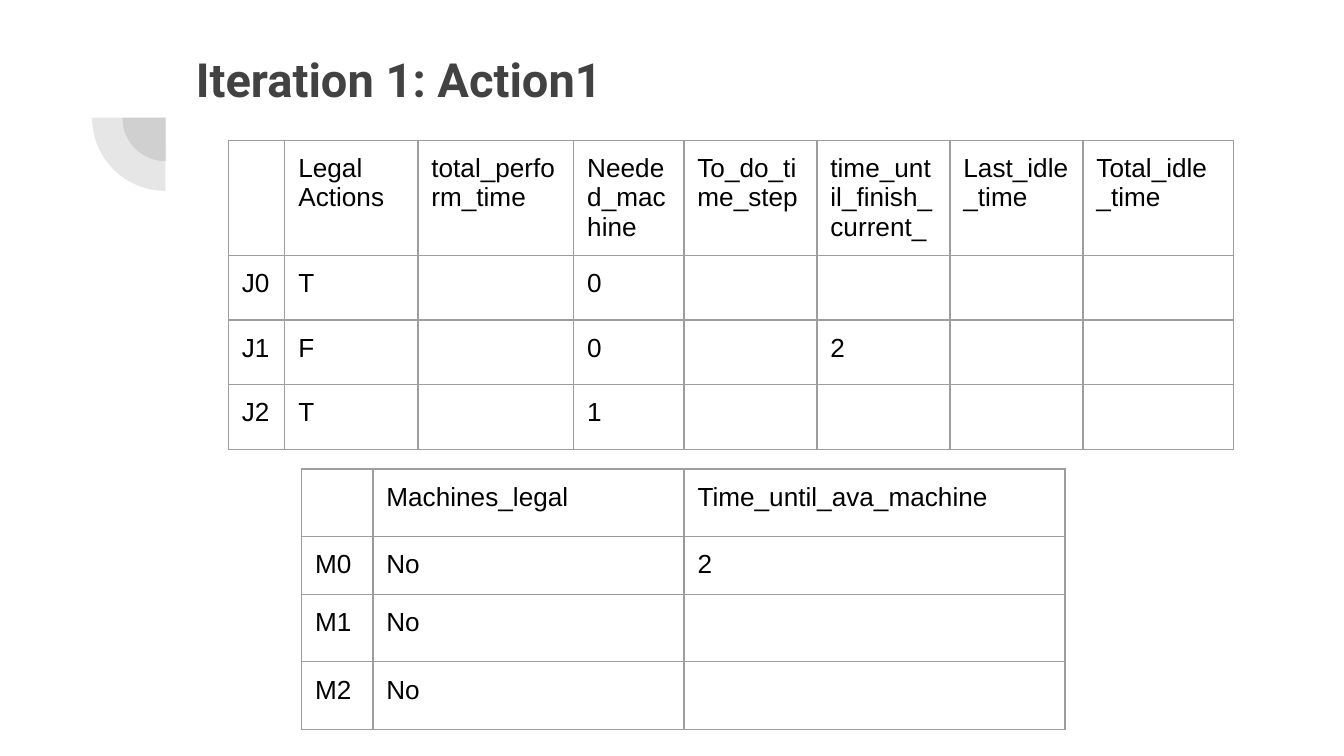
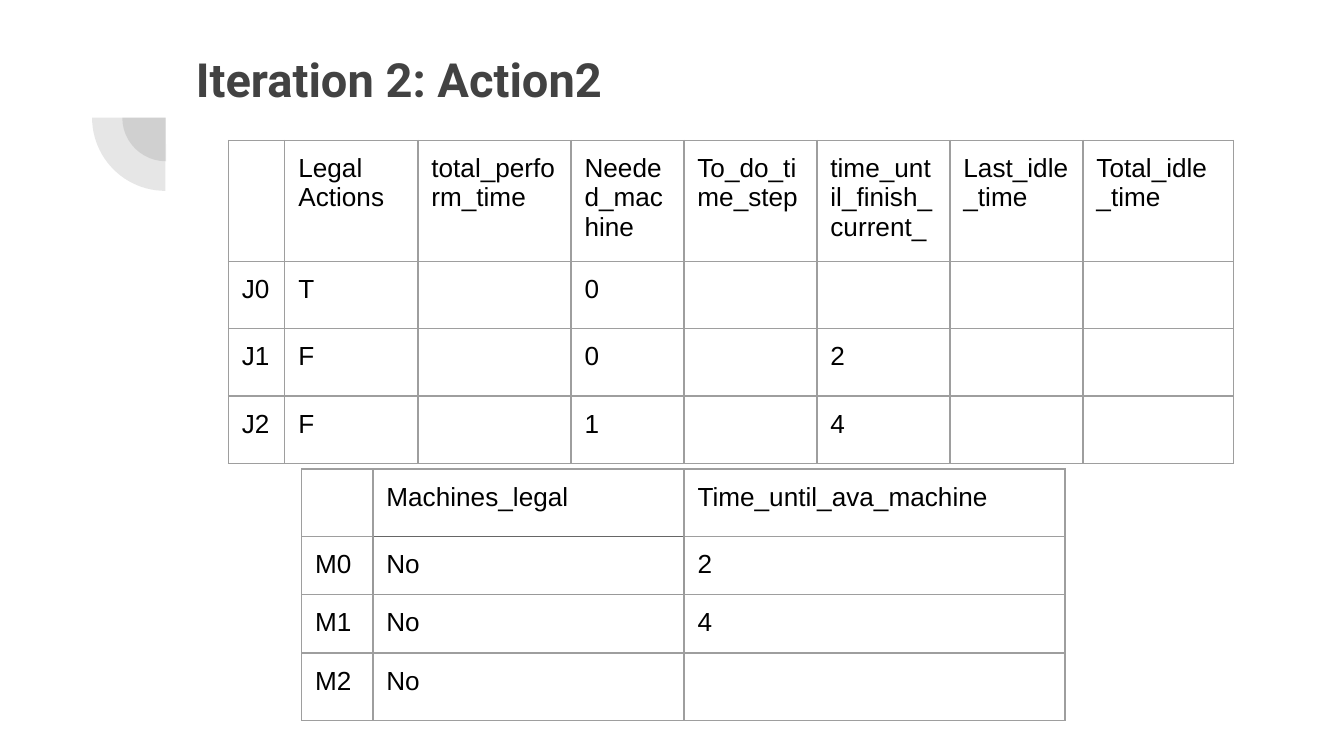
from lxml.etree import SubElement as Sub
from pptx import Presentation
from pptx.dml.color import RGBColor as Rgb
from pptx.enum.shapes import MSO_SHAPE as Kind
from pptx.enum.text import MSO_ANCHOR as Anchor
from pptx.oxml.ns import qn
from pptx.util import Emu, Pt

SCALE = 4572
PAD = 20
INK = {"title": "424242", "text": "000000", "grid": "9E9E9E",
       "ring": "999999", "dark": "666666"}
HEADS = ["", "Legal Actions", "total_perform_time", "Needed_machine",
         "To_do_time_step", "time_until_finish_current_",
         "Last_idle_time", "Total_idle_time"]
SIDES = {"L": (0, -1, "R"), "R": (0, 1, "L"), "T": (-1, 0, "B"), "B": (1, 0, "T")}

SLIDES = [
    {"title": "Iteration 1: Action1",
     "widths": [84, 198, 232, 164, 198, 198, 198, 224],
     "jobs": [("T", "0", ""), ("F", "0", "2"), ("T", "1", "")],
     "waits": ["2", "", ""], "top": "ring"},
    {"title": "Iteration 2: Action2",
     "widths": [84, 198, 228, 168, 198, 198, 198, 224],
     "jobs": [("T", "0", ""), ("F", "0", "2"), ("F", "1", "4")],
     "waits": ["2", "4", ""], "top": "dark"},
]


def px(n):
    return Emu(n * SCALE)


def write(frame, text, size=14, font="Arial", color="text", bold=False):
    run = frame.paragraphs[0].add_run()
    run.text = text
    run.font.size = Pt(size)
    run.font.name = font
    run.font.bold = bold
    run.font.color.rgb = Rgb.from_string(INK[color])


def blank(frame):
    mark = Sub(frame.paragraphs[0]._p, qn("a:endParaRPr"), sz="1800")
    Sub(mark, qn("a:latin"), typeface="Arial")


def pad(box):
    box.margin_left = box.margin_right = px(PAD)
    box.margin_top = box.margin_bottom = px(PAD)


def pie(slide, x, y, size):
    shape = slide.shapes.add_shape(Kind.PIE, px(x), px(y), px(size), px(size))
    shape.rotation = 270
    shape.adjustments[0] = 107.93
    shape.adjustments[1] = 162
    shape.shadow.inherit = False
    shape.line.fill.background()
    shape.fill.solid()
    shape.fill.fore_color.rgb = Rgb.from_string(INK["title"])
    tone = shape.fill._xPr.find(".//" + qn("a:srgbClr"))
    Sub(tone, qn("a:alpha"), val="13000")


def title(slide, text):
    box = slide.shapes.add_textbox(px(272), px(55), px(1538), px(116))
    frame = box.text_frame
    frame.word_wrap = True
    frame.vertical_anchor = Anchor.TOP
    pad(frame)
    write(frame, text, size=25.2, font="Roboto", color="title", bold=True)


def edge(cell, side, color):
    props = cell._tc.get_or_add_tcPr()
    line = props.find(qn("a:ln" + side))
    if line is None:
        line = Sub(props, qn("a:ln" + side), w=str(Pt(0.75)))
        Sub(Sub(line, qn("a:solidFill")), qn("a:srgbClr"))
    line.find(".//" + qn("a:srgbClr")).set("val", INK[color])


def ring(table, row, col, colors):
    for side, color in colors.items():
        down, right, back = SIDES[side]
        edge(table.cell(row, col), side, color)
        edge(table.cell(row + down, col + right), back, color)


def grid(slide, x, y, widths, heights, rows):
    table = slide.shapes.add_table(
        len(rows), len(widths), px(x), px(y),
        px(sum(widths)), px(sum(heights))).table
    table.first_row = table.horz_banding = False
    for col, width in zip(table.columns, widths):
        col.width = px(width)
    for row, height in zip(table.rows, heights):
        row.height = px(height)
    for row, texts in zip(table.rows, rows):
        for cell, text in zip(row.cells, texts):
            pad(cell)
            for side in SIDES:
                edge(cell, side, "grid")
            cell.fill.background()
            if text:
                write(cell.text_frame, text)
            else:
                blank(cell.text_frame)
    return table


def build(slide, data):
    pie(slide, 182, 110, 130)
    pie(slide, 137, 66, 218)
    jobs = [[f"J{i}", legal, "", need, "", left, "", ""]
            for i, (legal, need, left) in enumerate(data["jobs"])]
    grid(slide, 340, 209, data["widths"], [158, 96, 68, 64], [HEADS] + jobs)
    title(slide, data["title"])
    units = [[f"M{i}", "No", wait] for i, wait in enumerate(data["waits"])]
    table = grid(slide, 449, 698, [106, 463, 567], [80] * 4,
                 [["", "Machines_legal", "Time_until_ava_machine"]] + units)
    ring(table, 1, 1, {**dict.fromkeys(SIDES, "ring"), "T": data["top"]})


def main():
    deck = Presentation()
    deck.slide_width, deck.slide_height = px(2000), px(1125)
    for data in SLIDES:
        build(deck.slides.add_slide(deck.slide_layouts[6]), data)
    deck.save("out.pptx")


if __name__ == "__main__":
    main()
